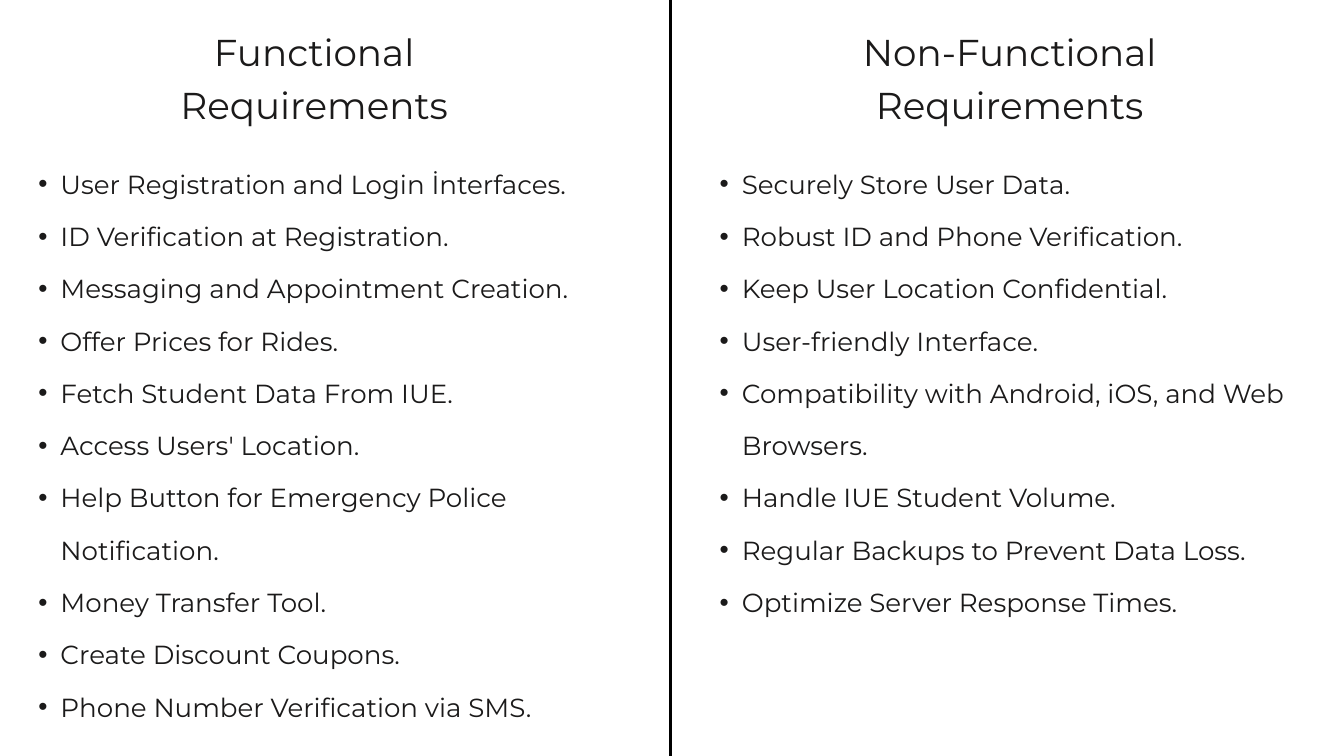
from lxml.etree import SubElement
from pptx import Presentation
from pptx.dml.color import RGBColor
from pptx.enum.shapes import MSO_CONNECTOR, MSO_SHAPE
from pptx.enum.text import MSO_ANCHOR, MSO_AUTO_SIZE, PP_ALIGN
from pptx.oxml.ns import qn
from pptx.util import Inches, Pt

INK, PAPER, RULE, BACKDROP = "1B1A1A", "FFFFFF", "000000", "F4AD00"
HEADING_TOP, HEADING_WIDTH, HEADING_HEIGHT = 0.33, 5.89, 1.51
LIST_TOP = 2.19
BULLET_INDENT = Inches(0.33)


def color(hex_code):
    return RGBColor.from_string(hex_code)


def fill_text(holder, box, lines, size, align):
    """Place a placeholder and set its lines in the slide's type style."""
    holder.left, holder.top, holder.width, holder.height = map(Inches, box)
    frame = holder.text_frame
    frame.text = "\n".join(lines)
    frame.word_wrap = True
    frame.auto_size = MSO_AUTO_SIZE.NONE
    frame.vertical_anchor = MSO_ANCHOR.TOP
    frame.margin_left = frame.margin_right = 0
    frame.margin_top = frame.margin_bottom = 0
    for paragraph in frame.paragraphs:
        paragraph.alignment = align
        paragraph.line_spacing = Pt(56)
        paragraph.space_before = paragraph.space_after = Pt(0)
        for run in paragraph.runs:
            run.font.name = "Montserrat"
            run.font.size = Pt(size)
            run.font.bold = False
            run.font.color.rgb = color(INK)


prs = Presentation()
prs.slide_width, prs.slide_height = Inches(20), Inches(11.25)
slide = prs.slides.add_slide(prs.slide_layouts.get_by_name("Comparison"))
slide.background.fill.solid()
slide.background.fill.fore_color.rgb = color(BACKDROP)
holders = {holder.placeholder_format.idx: holder for holder in slide.placeholders}

# White panel over the backdrop, bleeding past the edges, sent to the back
panel = slide.shapes.add_shape(
    MSO_SHAPE.RECTANGLE, Inches(-0.18), 0, Inches(20.33), Inches(12.27))
panel.shadow.inherit = False
panel.fill.solid()
panel.fill.fore_color.rgb = color(PAPER)
panel.line.fill.background()
holders[0].element.addprevious(panel.element)

# Heading holder, heading left, list holder, list left/width/height, wording
columns = [
    (0, 1.73, 2, (0.24, 9.33, 9.06), "Functional Requirements", [
        "User Registration and Login İnterfaces.",
        "ID Verification at Registration.",
        "Messaging and Appointment Creation.",
        "Offer Prices for Rides.",
        "Fetch Student Data From IUE.",
        "Access Users' Location.",
        "Help Button for Emergency Police Notification.",
        "Money Transfer Tool.",
        "Create Discount Coupons.",
        "Phone Number Verification via SMS.",
    ]),
    (3, 12.08, 4, (10.38, 9.29, 7.51), "Non-Functional Requirements", [
        "Securely Store User Data.",
        "Robust ID and Phone Verification.",
        "Keep User Location Confidential.",
        "User-friendly Interface.",
        "Compatibility with Android, iOS, and Web Browsers.",
        "Handle IUE Student Volume.",
        "Regular Backups to Prevent Data Loss.",
        "Optimize Server Response Times.",
    ]),
]

# Headings and bulleted lists
for heading_idx, heading_left, list_idx, list_box, heading, requirements in columns:
    fill_text(holders[heading_idx],
              (heading_left, HEADING_TOP, HEADING_WIDTH, HEADING_HEIGHT),
              [heading], 40, PP_ALIGN.CENTER)

    list_left, list_width, list_height = list_box
    fill_text(holders[list_idx], (list_left, LIST_TOP, list_width, list_height),
              requirements, 28, PP_ALIGN.LEFT)
    for paragraph in holders[list_idx].text_frame.paragraphs:
        properties = paragraph._p.get_or_add_pPr()
        properties.set("marL", str(2 * BULLET_INDENT))
        properties.set("indent", str(-BULLET_INDENT))
        SubElement(properties, qn("a:buFont")).set("typeface", "Arial")
        SubElement(properties, qn("a:buChar")).set("char", "•")

# The title serves as the left heading, so its own holder is spare
spare_heading = holders[1].element
spare_heading.getparent().remove(spare_heading)

# Divider between the two columns
divider = slide.shapes.add_connector(
    MSO_CONNECTOR.STRAIGHT, Inches(9.98), prs.slide_height, Inches(9.98), 0)
divider.line.color.rgb = color(RULE)
divider.line.width = Pt(3)
SubElement(divider.element.spPr, qn("a:effectLst"))

prs.save("out.pptx")
